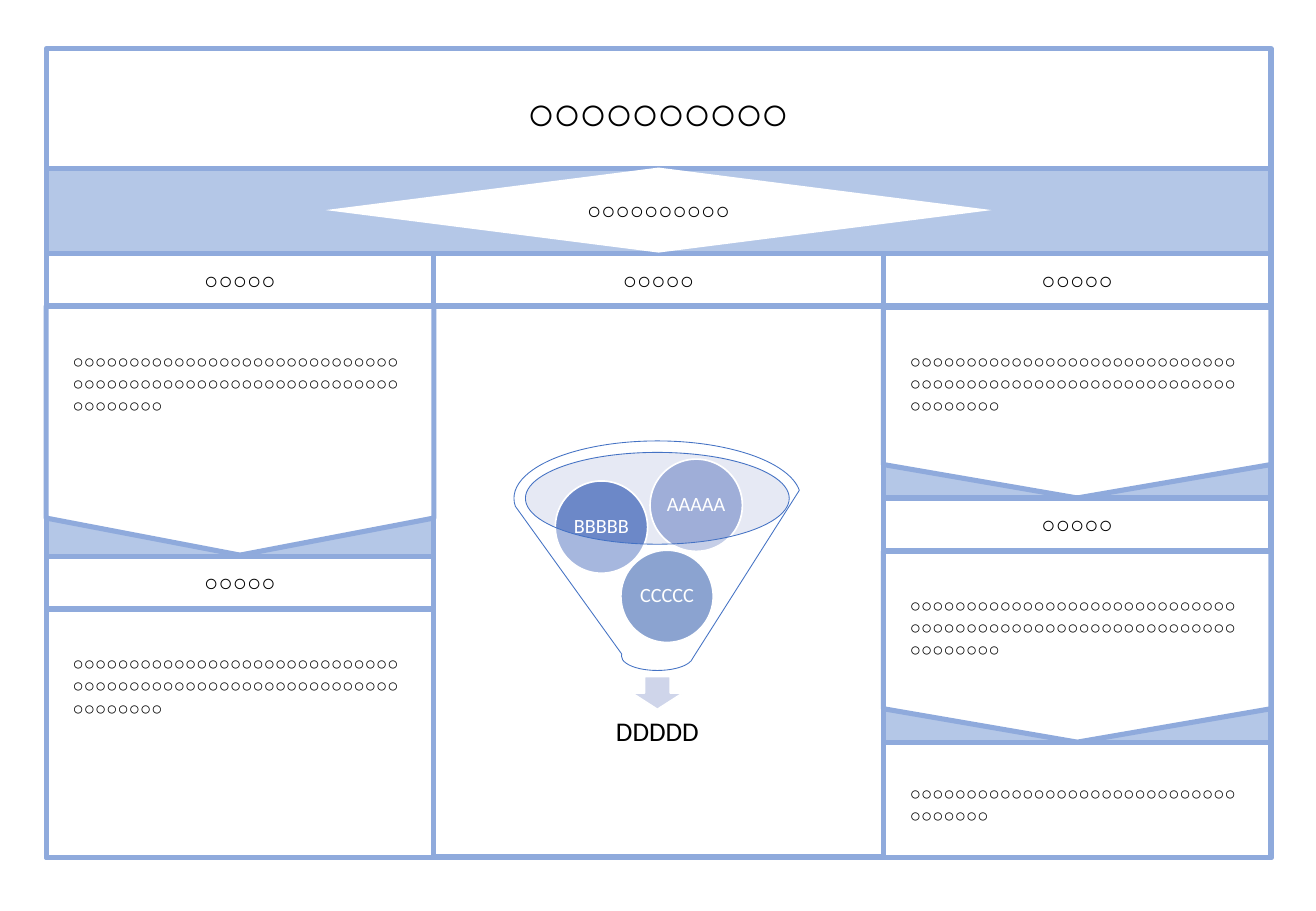
from lxml import etree
from pptx import Presentation
from pptx.dml.color import RGBColor
from pptx.enum import shapes, text
from pptx.oxml.ns import qn
from pptx.util import Emu, Pt

PX = 9144  # 100 px to the inch
COLORS = {"edge": "8FAADC", "band": "B4C7E7", "white": "FFFFFF", "black": "000000",
          "mouth": "C1C9E4", "arrow": "CFD5EA", "outline": "4472C4",
          "A": "9FAED8", "B": "6C88C8", "C": "3E67B2"}
KIND = shapes.MSO_SHAPE
CENTER, JUSTIFY = text.PP_ALIGN.CENTER, text.PP_ALIGN.JUSTIFY
MIDDLE, TOP = text.MSO_ANCHOR.MIDDLE, text.MSO_ANCHOR.TOP

prs = Presentation()
prs.slide_width, prs.slide_height = Emu(1083 * PX), Emu(750 * PX)
slide = prs.slides.add_slide(prs.slide_layouts[6])


def draw(kind, x, y, w, h, fill="white", line="edge", weight=3, opacity=None):
    shape = slide.shapes.add_shape(kind, *(Emu(v * PX) for v in (x, y, w, h)))
    shape.shadow.inherit = False
    shape.fill.solid()
    shape.fill.fore_color.rgb = RGBColor.from_string(COLORS[fill])
    if opacity:
        color = shape.fill._xPr.find(qn("a:solidFill"))[0]
        etree.SubElement(color, qn("a:alpha")).set("val", str(opacity * 1000))
    if line:
        shape.line.color.rgb = RGBColor.from_string(COLORS[line])
        shape.line.width = Pt(weight)
    else:
        shape.line.fill.background()
    return shape


def write(shape, words, size, align=CENTER, anchor=MIDDLE, font="Arial",
          color="black", inset=None, spacing=None):
    frame = shape.text_frame
    frame.word_wrap = True
    frame.vertical_anchor = anchor
    if inset is not None:
        frame.margin_left = frame.margin_right = Emu(inset * PX)
        frame.margin_top = frame.margin_bottom = Emu(inset * PX)
    paragraph = frame.paragraphs[0]
    paragraph.text = words
    paragraph.alignment = align
    paragraph.line_spacing = spacing
    paragraph.font.size = Pt(size)
    paragraph.font.name = font
    paragraph.font.color.rgb = RGBColor.from_string(COLORS[color])
    return paragraph


# Frame and title
LEFT, MID, RIGHT = 38, 357, 727
SIDE_W, MID_W, HEADER_H = 319, 370, 43
draw(KIND.RECTANGLE, LEFT, 139, 1008, 567, "band")
draw(KIND.RECTANGLE, LEFT, 40, 1008, 99)
title_box = slide.shapes.add_textbox(*(Emu(v * PX) for v in (154, 64, 775, 57)))
title = write(title_box, "○" * 10, 28, anchor=TOP)
title.font.bold = True
title.runs[0].font._element.set("spc", "-150")

# Panels: x, y, width, height, depth of the downward point
panels = [
    (MID, 252, MID_W, 453, 0),
    (LEFT, 252, SIDE_W, 205, 30.5),
    (LEFT, 502, SIDE_W, 204, 0),
    (RIGHT, 253, SIDE_W, 157, 27.5),
    (RIGHT, 454, SIDE_W, 157, 27.5),
    (RIGHT, 611, SIDE_W, 95, 0),
]
for x, y, w, h, point in panels:
    if point:
        shift = (w - h) / 2
        panel = draw(KIND.PENTAGON, int(x + shift), int(y - shift), h, w)
        panel.rotation = 90
        panel.adjustments[0] = point / h
    else:
        draw(KIND.RECTANGLE, x, y, w, h)

headers = [(MID, 209, MID_W), (LEFT, 209, SIDE_W), (LEFT, 458, SIDE_W),
           (RIGHT, 209, SIDE_W), (RIGHT, 410, SIDE_W)]
for x, y, w in headers:
    write(draw(KIND.RECTANGLE, x, y, w, HEADER_H), "○" * 5, 14)

write(draw(KIND.DIAMOND, 268, 138, 548, 70, line=None), "○" * 10, 14)

bodies = [(LEFT, 283, 66), (LEFT, 532, 66), (RIGHT, 283, 66), (RIGHT, 484, 66), (RIGHT, 639, 36)]
for x, y, count in bodies:
    height = 84 if count > 58 else 47
    body = slide.shapes.add_textbox(*(Emu(v * PX) for v in (x + 12, y, 295, height)))
    write(body, "○" * count, 11, JUSTIFY, TOP)

# Funnel
draw(KIND.OVAL, 432, 372, 218, 76, "mouth", None, opacity=40)
draw(KIND.DOWN_ARROW, 520, 557, 42, 27, "arrow", "white", 1)
result = slide.shapes.add_textbox(*(Emu(v * PX) for v in (440, 578, 202, 51)))
write(result, "DDDDD", 16, font="Calibri", inset=12, spacing=0.9)
for letter, x, y in [("C", 511, 453), ("B", 457, 396), ("A", 535, 378)]:
    ball = draw(KIND.OVAL, x, y, 76, 76, letter, "white", 1)
    write(ball, letter * 5, 12, font="Calibri", color="white", inset=2, spacing=0.9)
draw(KIND.FUNNEL, 423, 363, 236, 189, "white", "outline", 0.5, opacity=40)

prs.save("out.pptx")
